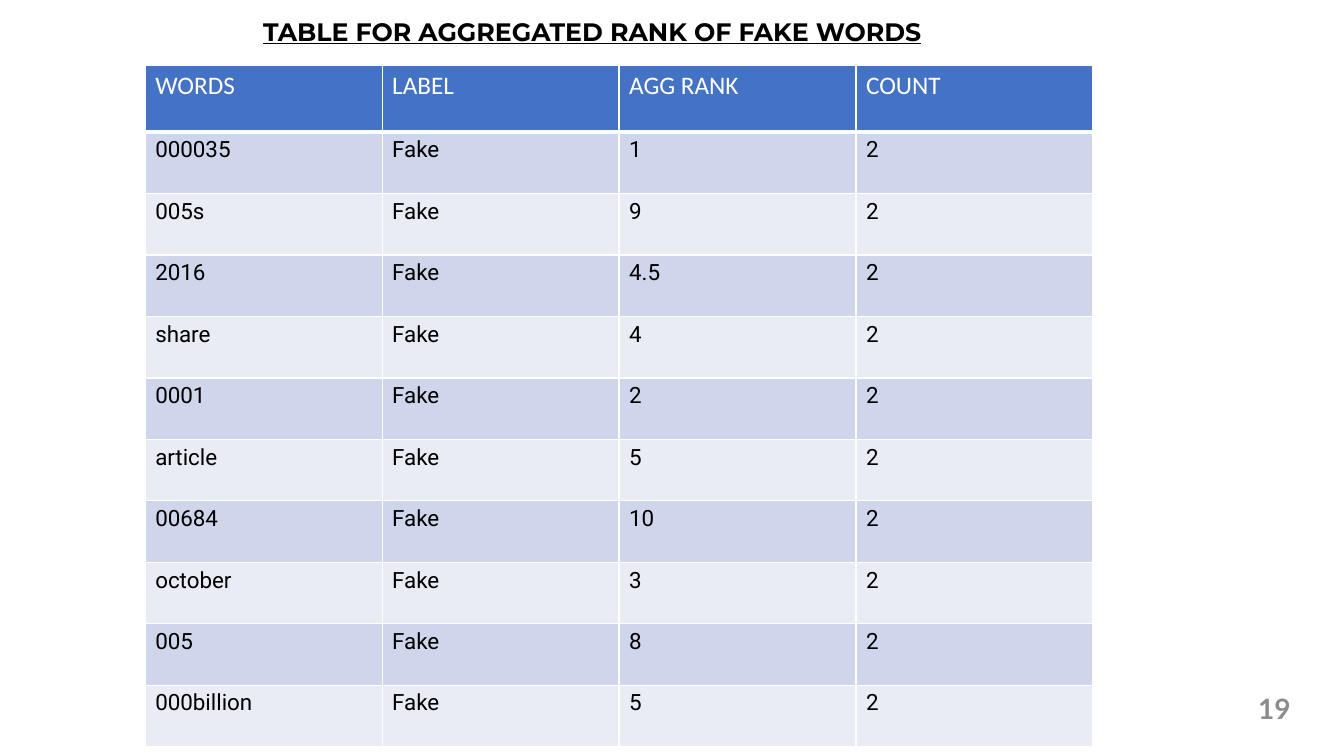
from lxml.etree import SubElement
from pptx import Presentation
from pptx.dml.color import RGBColor
from pptx.enum.text import MSO_ANCHOR as Anchor, PP_ALIGN as Align
from pptx.oxml.ns import qn
from pptx.util import Inches, Pt

WHITE = RGBColor(0xFF, 0xFF, 0xFF)
BLACK = RGBColor(0x00, 0x00, 0x00)
GREY = RGBColor(0x8C, 0x8C, 0x8C)
HEADER_BLUE = RGBColor(0x44, 0x72, 0xC4)
BANDS = (RGBColor(0xCF, 0xD5, 0xEA), RGBColor(0xE9, 0xEB, 0xF5))

TITLE_FORMAT = {"name": "Montserrat", "size": Pt(18), "bold": True, "underline": True}
NUMBER_FORMAT = {"name": "Lato", "size": Pt(20), "bold": True}
HEADER_FORMAT = {"name": "Calibri", "size": Pt(18), "bold": False}
BODY_FORMAT = {"name": "Roboto", "size": Pt(16), "bold": False}

HEADINGS = ("WORDS", "LABEL", "AGG RANK", "COUNT")
WORD_RANKS = (
    ("000035", "1"), ("005s", "9"), ("2016", "4.5"), ("share", "4"),
    ("0001", "2"), ("article", "5"), ("00684", "10"), ("october", "3"),
    ("005", "8"), ("000billion", "5"),
)
COLUMN_WIDTH = 2.35
HEADER_HEIGHT = 0.66
ROW_HEIGHT = 0.61


def write_text(text_frame, text, font_format, color, align=Align.LEFT):
    paragraph = text_frame.paragraphs[0]
    paragraph.alignment = align
    run = paragraph.add_run()
    run.text = text
    for attribute, value in font_format.items():
        setattr(run.font, attribute, value)
    run.font.color.rgb = color


def add_label(slide, box, text, font_format, color, align, anchor):
    shape = slide.shapes.add_textbox(*map(Inches, box))
    shape.text_frame.word_wrap = True
    shape.text_frame.vertical_anchor = anchor
    write_text(shape.text_frame, text, font_format, color, align)


def set_borders(cell, widths):
    properties = cell._tc.get_or_add_tcPr()
    for side, width in widths.items():
        line = SubElement(properties, qn(f"a:ln{side}"), w=str(Pt(width)))
        fill = SubElement(line, qn("a:solidFill"))
        SubElement(fill, qn("a:srgbClr"), val=str(WHITE))


def fill_cell(cell, text, font_format, color, fill, top=1, bottom=1):
    set_borders(cell, {"L": 1, "R": 1, "T": top, "B": bottom})
    cell.fill.solid()
    cell.fill.fore_color.rgb = fill
    write_text(cell.text_frame, text, font_format, color)


def add_rank_table(slide, left, top):
    row_count, column_count = len(WORD_RANKS) + 1, len(HEADINGS)
    table = slide.shapes.add_table(
        row_count, column_count, Inches(left), Inches(top),
        Inches(COLUMN_WIDTH * column_count),
        Inches(HEADER_HEIGHT + ROW_HEIGHT * len(WORD_RANKS)),
    ).table
    for column in table.columns:
        column.width = Inches(COLUMN_WIDTH)
    for index, row in enumerate(table.rows):
        row.height = Inches(ROW_HEIGHT if index else HEADER_HEIGHT)

    # Header row, with a thick rule beneath it
    for cell, heading in zip(table.rows[0].cells, HEADINGS):
        fill_cell(cell, heading, HEADER_FORMAT, WHITE, HEADER_BLUE, bottom=3)

    # Banded word rows
    for index, (word, rank) in enumerate(WORD_RANKS):
        cells = table.rows[index + 1].cells
        for cell, text in zip(cells, (word, "Fake", rank, "2")):
            fill_cell(cell, text, BODY_FORMAT, BLACK, BANDS[index % 2],
                      top=1 if index else 3)


def main():
    presentation = Presentation()
    presentation.slide_width = Inches(13.33)
    presentation.slide_height = Inches(7.5)
    slide = presentation.slides.add_slide(presentation.slide_layouts[6])

    # Slide number
    add_label(slide, (12.08, 6.83, 0.82, 0.4), "19", NUMBER_FORMAT, GREY,
              Align.RIGHT, Anchor.MIDDLE)
    # Word table
    add_rank_table(slide, 1.44, 0.65)
    # Title
    add_label(slide, (0.3, 0.11, 11.15, 0.4),
              "TABLE FOR AGGREGATED RANK OF FAKE WORDS", TITLE_FORMAT, BLACK,
              Align.CENTER, Anchor.TOP)

    presentation.save("out.pptx")


if __name__ == "__main__":
    main()
